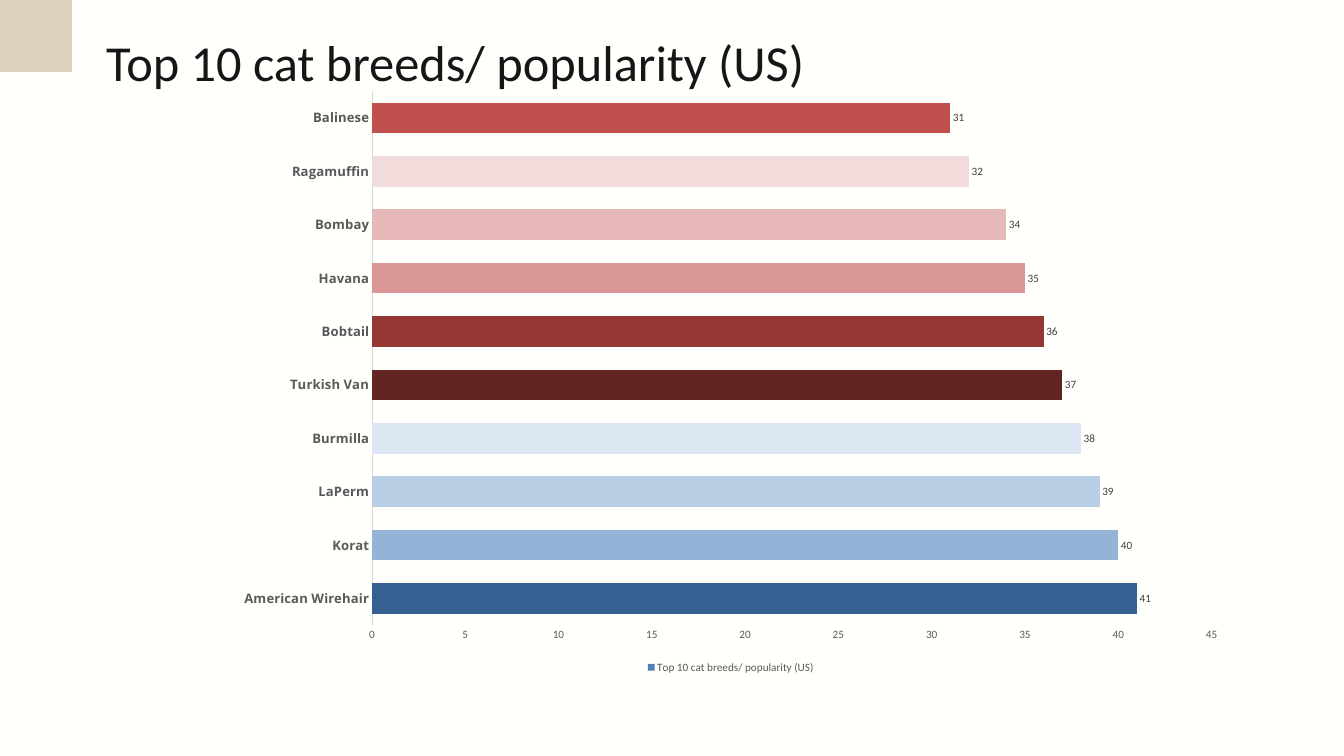
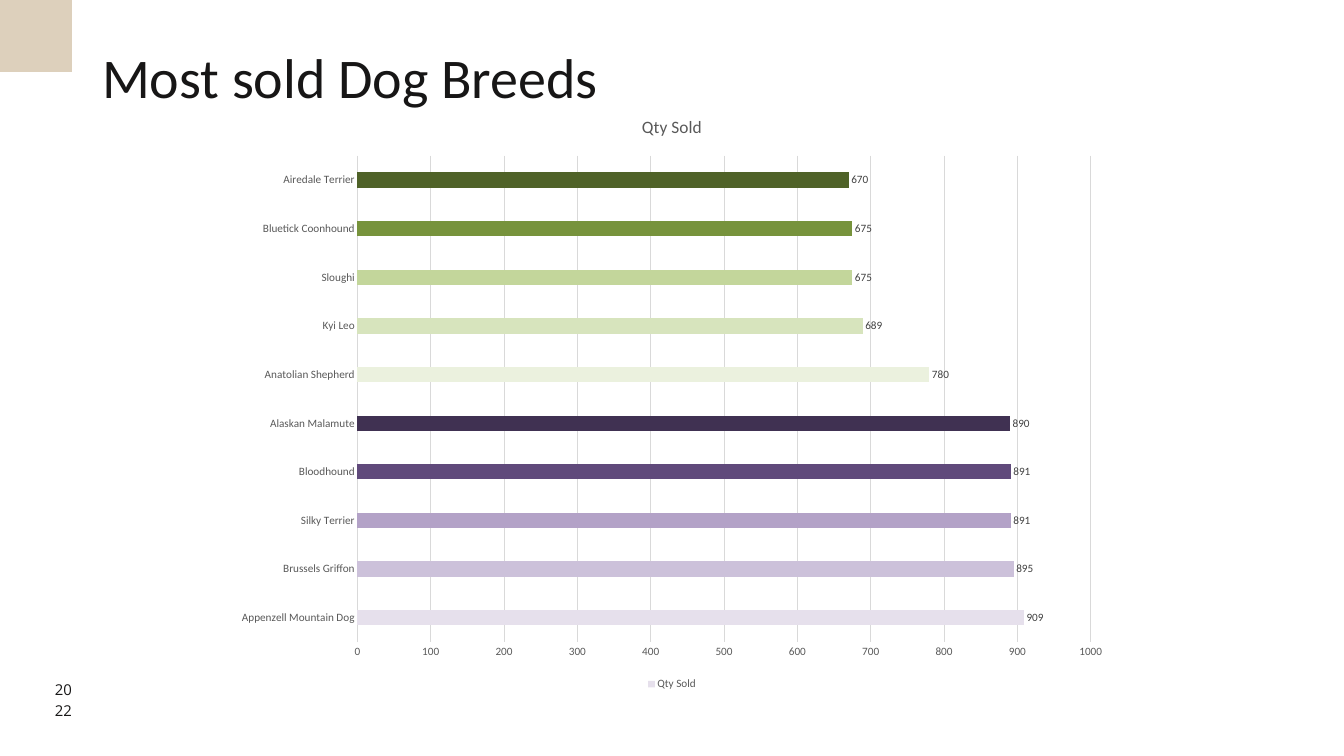
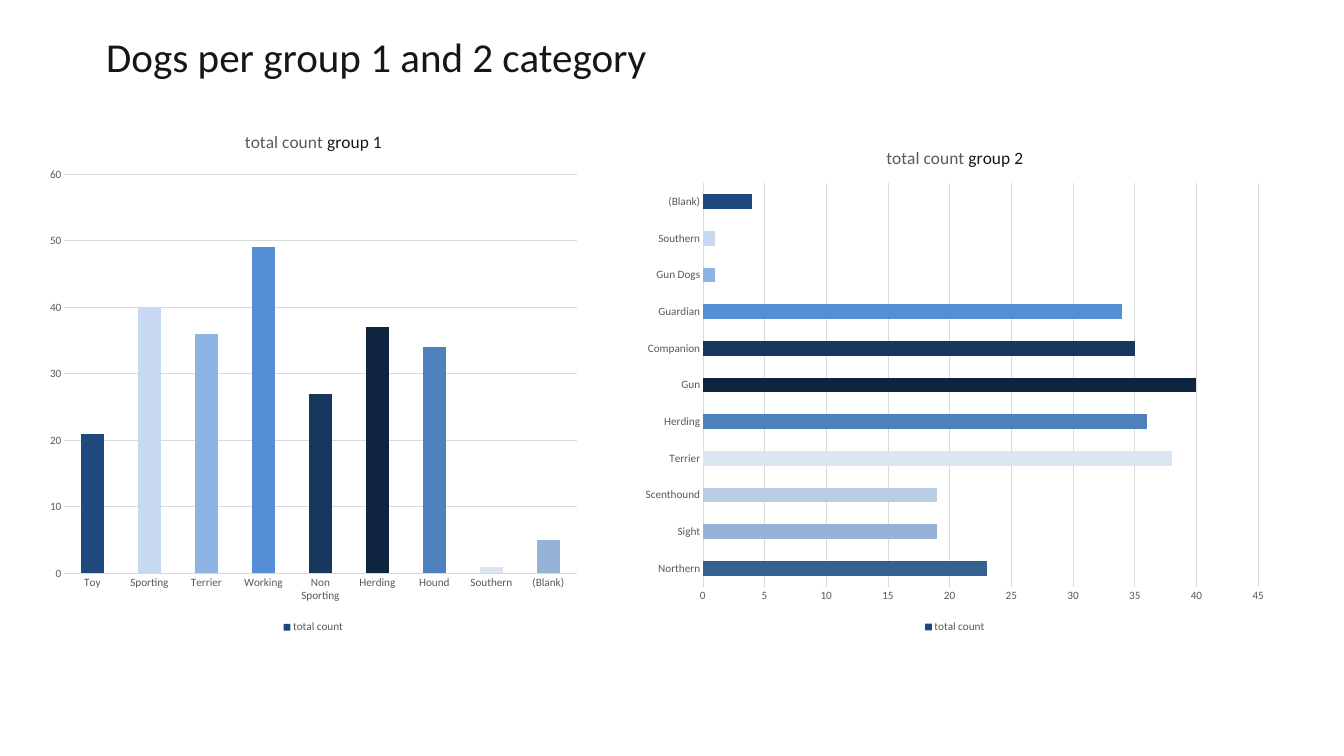
from pptx import Presentation
from pptx.chart.data import CategoryChartData
from pptx.dml.color import RGBColor
from pptx.enum.chart import XL_CHART_TYPE as CT, XL_LABEL_POSITION as LabelPos
from pptx.enum.chart import XL_LEGEND_POSITION as LegendPos, XL_TICK_MARK as Tick
from pptx.enum.shapes import MSO_SHAPE as Shape
from pptx.enum.text import PP_ALIGN as Align
from pptx.util import Pt

COLORS = {"ink": "171616", "sand": "DDD0BC", "grid": "D9D9D9", "axis": "595959",
          "label": "404040", "cream": "FFFFFC", "white": "FFFFFF"}
FONT, ACCENT_FONT = "Calibri", "Open Sans"

CAT_BREEDS = [
    ("American Wirehair", 41, "376092"), ("Korat", 40, "95B3D7"),
    ("LaPerm", 39, "B9CDE5"), ("Burmilla", 38, "DCE6F2"),
    ("Turkish Van", 37, "632523"), ("Bobtail", 36, "953735"),
    ("Havana", 35, "D99694"), ("Bombay", 34, "E6B9B8"),
    ("Ragamuffin", 32, "F2DCDB"), ("Balinese", 31, "C0504D")]
DOG_BREEDS = [
    ("Appenzell Mountain Dog", 909, "E6E0EC"), ("Brussels Griffon", 895, "CCC1DA"),
    ("Silky Terrier", 891, "B3A2C7"), ("Bloodhound", 891, "604A7B"),
    ("Alaskan Malamute", 890, "403152"), ("Anatolian Shepherd", 780, "EBF1DE"),
    ("Kyi Leo", 689, "D7E4BD"), ("Sloughi", 675, "C3D69B"),
    ("Bluetick Coonhound", 675, "77933C"), ("Airedale Terrier", 670, "4F6228")]
GROUP_1 = [
    ("Toy", 21, "1F497D"), ("Sporting", 40, "C6D9F1"), ("Terrier", 36, "8EB4E3"),
    ("Working", 49, "558ED5"), ("Non Sporting", 27, "17375E"),
    ("Herding", 37, "0F243E"), ("Hound", 34, "4F81BD"),
    ("Southern", 1, "DCE6F2"), ("(Blank)", 5, "95B3D7")]
GROUP_2 = [
    ("Northern", 23, "376092"), ("Sight", 19, "95B3D7"), ("Scenthound", 19, "B9CDE5"),
    ("Terrier", 38, "DCE6F2"), ("Herding", 36, "4F81BD"), ("Gun", 40, "0F243E"),
    ("Companion", 35, "17375E"), ("Guardian", 34, "558ED5"), ("Gun Dogs", 1, "8EB4E3"),
    ("Southern", 1, "C6D9F1"), ("(Blank)", 4, "1F497D")]

# Boxes are left, top, width, height in points.
SLIDES = [
    {"bg": "cream", "corner": True,
     "title": ("Top 10 cat breeds/ popularity (US)", 54, (113.8, 13.7, 966, 77.8)),
     "charts": [dict(box=(240, 85, 1086, 640), rows=CAT_BREEDS, gap=75, top=45, step=5,
                     series="Top 10 cat breeds/ popularity (US)", color="4F81BD",
                     labels=True, grid=False, axis_line=True, bold_names=True)]},
    {"bg": "white", "corner": True, "year": ("20", "22"),
     "title": ("Most sold Dog Breeds", 60, (109.4, 33.8, 629, 80)),
     "charts": [dict(box=(240, 103, 960, 640), rows=DOG_BREEDS, gap=219, top=1000, step=100,
                     series="Qty Sold", color="E6E0EC", title=[("Qty Sold", "axis")],
                     labels=True, axis_line=True)]},
    {"bg": "white",
     "title": ("Dogs per group 1 and 2 category", 44, (113.8, 2.9, 672, 75.6)),
     "charts": [dict(box=(41.8, 123, 588, 559), rows=GROUP_1, gap=150, top=60, step=10,
                     series="total count", color="1F497D", kind=CT.COLUMN_CLUSTERED,
                     title=[("total count ", "axis"), ("group 1", "ink")]),
                dict(box=(678, 140.4, 690, 541.5), rows=GROUP_2, gap=150, top=45, step=5,
                     series="total count", color="1F497D",
                     title=[("total count ", "axis"), ("group 2", "ink")])]},
]


def rgb(color):
    return RGBColor.from_string(COLORS.get(color, color))


def paint(fill, color):
    fill.solid()
    fill.fore_color.rgb = rgb(color)


def style(font, size, color, name=FONT, bold=False):
    font.size, font.name, font.bold = Pt(size), name, bold
    font.color.rgb = rgb(color)


def add_text(s, box, lines, size, spacing, name=FONT, align=Align.LEFT):
    tf = s.shapes.add_textbox(*map(Pt, box)).text_frame
    tf.word_wrap = True
    tf.margin_left = tf.margin_right = tf.margin_top = tf.margin_bottom = 0
    tf.text = "\n".join(lines)
    for p in tf.paragraphs:
        p.alignment, p.line_spacing = align, Pt(spacing)
        style(p.runs[0].font, size, "ink", name)


def add_corner(s):
    sp = s.shapes.add_shape(Shape.RECTANGLE, 0, 0, Pt(77), Pt(77))
    sp.shadow.inherit = False
    paint(sp.fill, "sand")
    sp.line.fill.background()


def set_line(line, shown):
    if shown:
        line.color.rgb = rgb("grid")
        line.width = Pt(0.75)
    else:
        line.fill.background()


def style_axes(chart, top, step, grid, axis_line, bold_names):
    names, values = chart.category_axis, chart.value_axis
    for axis in (names, values):
        axis.major_tick_mark = axis.minor_tick_mark = Tick.NONE
        style(axis.tick_labels.font, 12, "axis")
    if bold_names:
        style(names.tick_labels.font, 14, "axis", ACCENT_FONT, True)
    set_line(names.format.line, axis_line)
    set_line(values.format.line, False)
    values.minimum_scale, values.maximum_scale, values.major_unit = 0, top, step
    values.has_major_gridlines = grid
    if grid:
        set_line(values.major_gridlines.format.line, True)


def add_bars(s, box, rows, gap, top, step, series, color, kind=CT.BAR_CLUSTERED,
             title=(), labels=False, grid=True, axis_line=False, bold_names=False):
    names, values, fills = zip(*rows)
    data = CategoryChartData()
    data.categories = names
    data.add_series(series, values)
    chart = s.shapes.add_chart(kind, *map(Pt, box), data).chart
    style(chart.font, 10, "000000")

    chart.has_title = bool(title)
    if title:
        p = chart.chart_title.text_frame.paragraphs[0]
        for text, tone in title:
            r = p.add_run()
            r.text = text
            style(r.font, 18.6, tone)
        chart.chart_title.include_in_layout = False

    chart.has_legend = True
    chart.legend.position = LegendPos.BOTTOM
    chart.legend.include_in_layout = False
    style(chart.legend.font, 12, "axis")
    style_axes(chart, top, step, grid, axis_line, bold_names)

    plot = chart.plots[0]
    plot.gap_width, plot.vary_by_categories = gap, False
    bars = plot.series[0]
    bars.invert_if_negative = False
    paint(bars.format.fill, color)
    for i, fill in enumerate(fills):
        if fill != color:
            paint(bars.points[i].format.fill, fill)
    if labels:
        tags = bars.data_labels
        tags.show_value, tags.position = True, LabelPos.OUTSIDE_END
        style(tags.font, 12, "label")


def main():
    prs = Presentation()
    prs.slide_width, prs.slide_height = Pt(1440), Pt(810)
    for page in SLIDES:
        s = prs.slides.add_slide(prs.slide_layouts[6])
        paint(s.background.fill, page["bg"])
        if page.get("corner"):
            add_corner(s)
        if "year" in page:
            add_text(s, (33.8, 726.5, 43.2, 42.5), page["year"], 16, 22.4,
                     ACCENT_FONT, Align.RIGHT)
        title, size, box = page["title"]
        add_text(s, box, [title], size, 84)
        for chart in page["charts"]:
            add_bars(s, **chart)
    prs.save("out.pptx")


if __name__ == "__main__":
    main()
